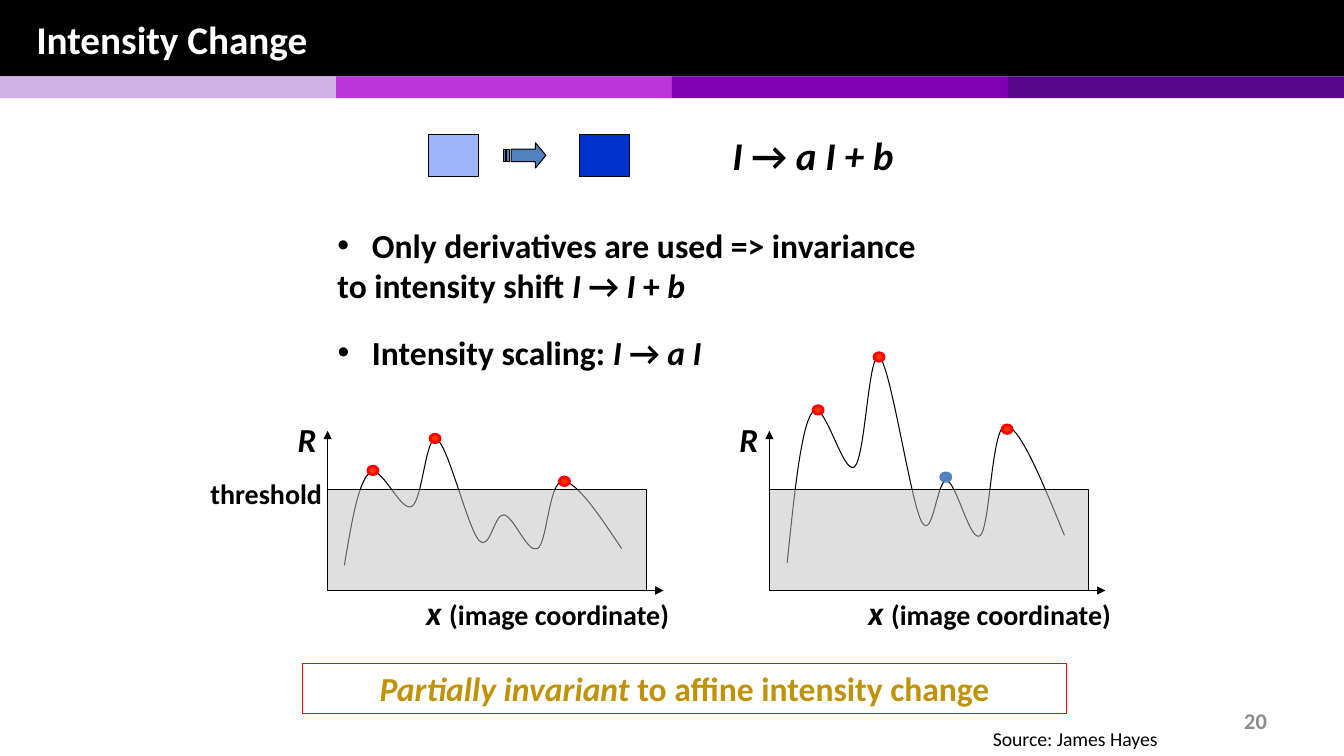
from dataclasses import dataclass

from lxml.etree import SubElement
from pptx import Presentation
from pptx.dml.color import RGBColor
from pptx.enum.shapes import MSO_CONNECTOR, MSO_SHAPE as Geo
from pptx.enum.text import MSO_ANCHOR as Anchor, MSO_AUTO_SIZE as Fit, PP_ALIGN as Align
from pptx.oxml.ns import qn
from pptx.util import Emu, Inches, Pt

CELL = Inches(1) / 12          # the grid is 160 columns by 90 rows
COLS, ROWS = 160, 90
BLACK, RED, BLUE = "000000", "FF0000", "4F81BD"
AXIS_ROW, AXIS_COLS, AXIS_ROWS = 70.3, 40, 19
THRESHOLD_COLS, THRESHOLD_ROWS = 38, 12

# Response profile: start, then three Bezier points per segment,
# as (columns from the axis, rows above the start).
PROFILE = [
    (2, 0),
    (2.83, 5), (3.67, 10), (5, 11),
    (6.33, 12.2), (8.67, 6.33), (10, 7),
    (11.33, 7.67), (11.67, 15.67), (13, 15),
    (14.33, 14.33), (16.67, 4.5), (18, 3),
    (19.33, 1.5), (19.83, 6.17), (21, 6),
    (22.17, 5.83), (23.83, 1.33), (25, 2),
    (26.17, 2.67), (26.33, 10), (28, 10),
    (29.67, 10), (32.33, 6), (35, 2),
]
ARROW_HEAD = [(3.75, 0), (3.75, 0.75), (0.85, 0.75), (0.85, 2.25),
              (3.75, 2.25), (3.75, 3), (5, 1.5)]
ARROW_STRIPES = [(0.31, 0.62), (0, 0.16)]


@dataclass
class Box:
    col: float
    row: float
    cols: float
    rows: float

    def emu(self) -> list[Emu]:
        return [cells(v) for v in (self.col, self.row, self.cols, self.rows)]


@dataclass
class Run:
    text: str
    italic: bool = False
    size: float = 24


@dataclass
class Peak:
    col: float
    height: float
    fill: str = "FF3300"
    line: str = RED


@dataclass
class Plot:
    col: float
    shift: float
    base: float
    gain: float
    peaks: list[Peak]


PLOTS = [
    Plot(39, 0, 3, 1, [Peak(5.4, 14.3), Peak(12.8, 18.1), Peak(28.2, 13)]),
    Plot(91.6, 0.12, 3.3, 1.63, [Peak(5.8, 21.5), Peak(13.05, 27.8),
                                 Peak(21, 13.5, BLUE, BLUE), Peak(28.3, 19.2)]),
]


def cells(n: float) -> Emu:
    return Emu(round(n * CELL))


def rgb(color: str) -> RGBColor:
    return RGBColor.from_string(color)


def paint(sp, fill: str = "", line: str = "", width: float = 0.75):
    sp.shadow.inherit = False
    if fill:
        sp.fill.solid()
        sp.fill.fore_color.rgb = rgb(fill)
    else:
        sp.fill.background()
    if line:
        sp.line.color.rgb = rgb(line)
        sp.line.width = Pt(width)
    else:
        sp.line.fill.background()
    return sp


def add_box(s, box: Box, fill: str = "", line: str = "", geo=Geo.RECTANGLE,
            width: float = 0.75):
    return paint(s.shapes.add_shape(geo, *box.emu()), fill, line, width)


def write(sp, runs: list[Run], color: str = BLACK, align=Align.LEFT,
          bold: bool = True, wrap: bool = True, anchor=Anchor.TOP,
          bullet: bool = False) -> None:
    tf = sp.text_frame
    tf.word_wrap = wrap
    tf.vertical_anchor = anchor
    if anchor == Anchor.TOP:
        tf.auto_size = Fit.SHAPE_TO_FIT_TEXT
    p = tf.paragraphs[0]
    p.alignment = align
    if bullet:
        pPr = p._p.get_or_add_pPr()
        pPr.set("marL", "0")
        pPr.set("indent", "0")
        SubElement(pPr, qn("a:buFont"), typeface="Arial")
        SubElement(pPr, qn("a:buChar"), char="•")
        tabs = SubElement(pPr, qn("a:tabLst"))
        SubElement(tabs, qn("a:tab"), pos=str(cells(4.1)), algn="l")
    for run in runs:
        r = p.add_run()
        r.text = run.text
        r.font.name = "Calibri"
        r.font.size = Pt(run.size)
        r.font.bold = bold
        r.font.italic = run.italic
        r.font.color.rgb = rgb(color)


def add_text(s, box: Box, runs: list[Run], **style):
    sp = s.shapes.add_textbox(*box.emu())
    write(sp, runs, **style)
    return sp


def add_axis(s, col: float, to_col: float, to_row: float) -> None:
    line = s.shapes.add_connector(MSO_CONNECTOR.STRAIGHT, cells(col), cells(AXIS_ROW),
                                  cells(to_col), cells(to_row))
    line.line.color.rgb = rgb(BLACK)
    line.line.width = Pt(0.75)
    SubElement(line.line._get_or_add_ln(), qn("a:tailEnd"), type="triangle")
    SubElement(line._element.spPr, qn("a:effectLst"))


def add_curve(s, plot: Plot) -> None:
    """Outline the control points, then join each three into one Bezier segment."""
    points = [(cells(plot.col + plot.shift + x), cells(AXIS_ROW - plot.base - plot.gain * y))
              for x, y in PROFILE]
    builder = s.shapes.build_freeform(*points[0])
    builder.add_line_segments(points[1:], close=False)
    sp = paint(builder.convert_to_shape(), line=BLACK)
    outline = sp._element.find(f".//{qn('a:path')}")
    lines = outline.findall(qn("a:lnTo"))
    for i in range(0, len(lines), 3):
        bezier = SubElement(outline, qn("a:cubicBezTo"))
        for line in lines[i:i + 3]:
            bezier.append(line[0])
            outline.remove(line)


def add_striped_arrow(s, col: float, row: float) -> None:
    stripes = [[(a, 0.75), (a, 2.25), (b, 2.25), (b, 0.75)] for a, b in ARROW_STRIPES]
    contours = [[(cells(col + x), cells(row + y)) for x, y in contour]
                for contour in (ARROW_HEAD, *stripes)]
    builder = s.shapes.build_freeform(*contours[0][0])
    builder.add_line_segments(contours[0][1:])
    for contour in contours[1:]:
        builder.move_to(*contour[0])
        builder.add_line_segments(contour[1:])
    paint(builder.convert_to_shape(), BLUE, BLACK)


def add_plot(s, plot: Plot) -> None:
    col = plot.col
    add_curve(s, plot)
    add_axis(s, col, col + AXIS_COLS, AXIS_ROW)
    add_axis(s, col, col, AXIS_ROW - AXIS_ROWS)
    label = dict(align=Align.CENTER, wrap=False)
    add_text(s, Box(col - 4.8, AXIS_ROW - 21, 4.7, 6.1), [Run("R", True)], **label)
    add_text(s, Box(col + 10.4, AXIS_ROW - 0.4, 31.6, 6.1),
             [Run("x ", True), Run("(image coordinate)", size=20)], **label)
    area = add_box(s, Box(col, AXIS_ROW - THRESHOLD_ROWS, THRESHOLD_COLS, THRESHOLD_ROWS),
                   "C0C0C0", BLACK)
    color = area._element.spPr.find(f"{qn('a:solidFill')}/{qn('a:srgbClr')}")
    SubElement(color, qn("a:alpha"), val="50000")
    for peak in plot.peaks:
        add_box(s, Box(col + peak.col - 0.6, AXIS_ROW - peak.height - 0.5, 1.2, 1),
                peak.fill, peak.line, Geo.OVAL, 2)


def main() -> None:
    prs = Presentation()
    prs.slide_width, prs.slide_height = cells(COLS), cells(ROWS)
    s = prs.slides.add_slide(prs.slide_layouts[6])

    add_box(s, Box(0, 0, COLS, 9.1), BLACK)
    bands = ["CFB3E6", "BD33DA", "8000B3", "57058A"]
    band_cols = COLS / len(bands)
    for i, color in enumerate(bands):
        add_box(s, Box(i * band_cols, 9.1, band_cols, 2.6), color)
    add_text(s, Box(114.7, 83.4, 37.3, 4.8), [Run("20", size=16)], color="8C8C8C",
             align=Align.RIGHT, anchor=Anchor.MIDDLE)
    add_text(s, Box(3.15, 0.1, 153.8, 9), [Run("Intensity Change", size=28)],
             color="FFFFFF", anchor=Anchor.MIDDLE)

    add_box(s, Box(51, 16, 6, 5), "9FB6FF", BLACK)
    add_striped_arrow(s, 60, 17)
    add_box(s, Box(69, 16, 6, 5), "0033CC", BLACK)
    add_text(s, Box(86, 15, 22.3, 6.8),
             [Run("I ", True, 28), Run("→ ", size=28), Run("a I + b", True, 28)], wrap=False)

    add_text(s, Box(39, 26.2, 73, 10.9),
             [Run("\tOnly derivatives are used => invariance to intensity shift "),
              Run("I ", True), Run("→ "), Run("I ", True), Run("+ "), Run("b", True)],
             bullet=True)
    add_text(s, Box(39, 38.9, 68, 6.1),
             [Run("\tIntensity scaling: "), Run("I ", True), Run("→ "), Run("a I", True)],
             bullet=True)

    for plot in PLOTS:
        add_plot(s, plot)
    add_text(s, Box(23.8, 56.1, 15.8, 5.3), [Run("threshold", size=20)],
             align=Align.CENTER, wrap=False)

    write(add_box(s, Box(36, 78.95, 91, 6), line=RED),
          [Run("Partially invariant ", True), Run("to affine intensity change")],
          color="C09207", align=Align.CENTER)
    source = add_text(s, Box(117.6, 85.9, 22.6, 4.1),
                      [Run("Source: James Hayes", size=14.1)], bold=False)
    tf = source.text_frame
    tf.margin_left = tf.margin_right = tf.margin_top = tf.margin_bottom = Inches(0.05)
    prs.save("out.pptx")


if __name__ == "__main__":
    main()
